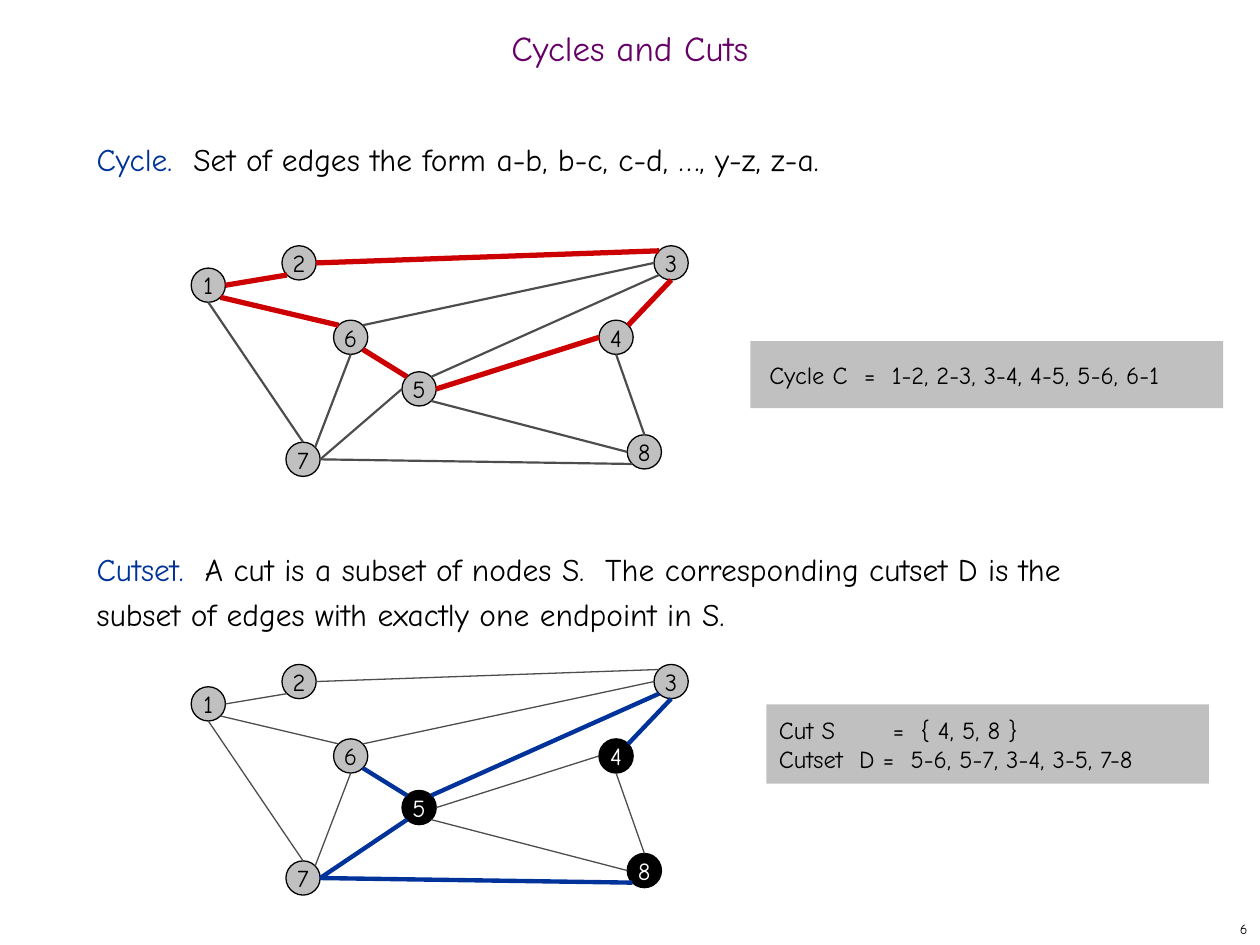
import math

import pptx
import pptx.dml.color
import pptx.enum.shapes
import pptx.enum.text
import pptx.util
from lxml import etree
from pptx.oxml.ns import qn

Cm, Pt = pptx.util.Cm, pptx.util.Pt
RGBColor = pptx.dml.color.RGBColor
ALIGN = pptx.enum.text.PP_ALIGN
ANCHOR = pptx.enum.text.MSO_ANCHOR
SHAPE = pptx.enum.shapes.MSO_SHAPE

FONT = "Comic Neue"
BLACK = RGBColor(0x00, 0x00, 0x00)
WHITE = RGBColor(0xFF, 0xFF, 0xFF)
PURPLE = RGBColor(0x66, 0x00, 0x66)
BLUE = RGBColor(0x00, 0x33, 0x99)
RED = RGBColor(0xCC, 0x00, 0x00)
SILVER = RGBColor(0xC0, 0xC0, 0xC0)
INK = RGBColor(0x01, 0x00, 0x00)
DARK_GRAY = RGBColor(0x4D, 0x4D, 0x4D)

DEFINITIONS = [  # top, term, meaning
    (2.54, "Cycle.  ", "Set of edges the form a-b, b-c, c-d, …, y-z, z-a."),
    (10.8, "Cutset.  ", "A cut is a subset of nodes S.  The corresponding cutset D is "
                        "the subset of edges with exactly one endpoint in S."),
]
EXAMPLES = [  # left, top, width, height, side margin, lines
    (15.13, 6.88, 9.53, 1.35, 0.38, ["Cycle C  =  1-2, 2-3, 3-4, 4-5, 5-6, 6-1"]),
    (15.45, 14.2, 8.92, 1.6, 0.25, ["Cut S\t=  { 4, 5, 8 }",
                                    "Cutset  D =  5-6, 5-7, 3-4, 3-5, 7-8"]),
]
EXAMPLE_TAB = 2.3

NODE_SIZE = 0.69
NODES = {  # centre of each node in the upper graph
    1: (4.2, 5.75), 2: (6.03, 5.3), 3: (13.53, 5.3), 4: (12.42, 6.8),
    5: (8.45, 7.84), 6: (7.07, 6.8), 7: (6.11, 9.26), 8: (12.99, 9.11),
}
EDGES = [  # node, side it leaves from, node, side it arrives at
    (1, "E", 2, "SW"), (1, "SE", 6, "NW"), (1, "S", 7, "N"), (6, "NE", 3, "W"),
    (4, "NE", 3, "S"), (6, "SE", 5, "NW"), (5, "SE", 8, "W"), (5, "E", 4, "W"),
    (4, "S", 8, "N"), (3, "SW", 5, "NE"), (6, "S", 7, "NE"), (2, "E", 3, "NW"),
    (7, "E", 8, "SW"),
]
GRAPHS = [
    dict(drop=0, edges=EDGES + [(7, "E", 5, "W")], dark_nodes=set(), width=1.25,
         marked={(1, 2), (2, 3), (3, 4), (4, 5), (5, 6), (1, 6)},
         marked_color=RED, marked_width=3),
    dict(drop=8.44, edges=EDGES + [(7, "E", 5, "SW")], dark_nodes={4, 5, 8}, width=0.75,
         marked={(5, 6), (5, 7), (3, 4), (3, 5), (7, 8)},
         marked_color=BLUE, marked_width=2.5),
]
SIDES = ["E", "SE", "S", "SW", "W", "NW", "N", "NE"]


def set_text(shape, lines, size, color, align=ALIGN.LEFT, anchor=ANCHOR.MIDDLE,
             margins=(0.25, 0.13), wrap=True):
    """Fill a shape with text; each line is a list of (words, colour or None)."""
    frame = shape.text_frame
    frame.word_wrap = wrap
    frame.vertical_anchor = anchor
    frame.margin_left = frame.margin_right = Cm(margins[0])
    frame.margin_top = frame.margin_bottom = Cm(margins[1])
    for index, spans in enumerate(lines):
        para = frame.add_paragraph() if index else frame.paragraphs[0]
        para.alignment = align
        para.font.name, para.font.size = FONT, Pt(size)
        para.font.color.rgb = color
        for words, span_color in spans:
            span = para.add_run()
            span.text = words
            if span_color is not None:
                span.font.color.rgb = span_color
    return frame.paragraphs


def add_box(page, left, top, width, height):
    return page.shapes.add_textbox(Cm(left), Cm(top), Cm(width), Cm(height))


def add_filled(page, kind, left, top, width, height, fill):
    shape = page.shapes.add_shape(kind, Cm(left), Cm(top), Cm(width), Cm(height))
    shape.shadow.inherit = False
    shape.fill.solid()
    shape.fill.fore_color.rgb = fill
    shape.line.fill.background()
    return shape


def add_tab_stop(para, position):
    tabs = etree.Element(qn("a:tabLst"))
    etree.SubElement(tabs, qn("a:tab"), pos=str(Cm(position)), algn="l")
    para._p.get_or_add_pPr().insert(0, tabs)


def rim_point(node, side, drop):
    """Point on the rim of a node, in the given compass direction."""
    x, y = NODES[node]
    angle = SIDES.index(side) * math.pi / 4
    radius = NODE_SIZE / 2
    return Cm(x + radius * math.cos(angle)), Cm(y + drop + radius * math.sin(angle))


def add_graph(page, graph):
    drop = graph["drop"]
    for node, (x, y) in NODES.items():
        dark = node in graph["dark_nodes"]
        circle = add_filled(page, SHAPE.OVAL, x - NODE_SIZE / 2, y + drop - NODE_SIZE / 2,
                            NODE_SIZE, NODE_SIZE, INK if dark else SILVER)
        circle.line.color.rgb = BLACK
        circle.line.width = Pt(0.75)
        set_text(circle, [[(str(node), None)]], 14, WHITE if dark else BLACK,
                 ALIGN.CENTER, wrap=False)
    for start, start_side, end, end_side in graph["edges"]:
        marked = tuple(sorted((start, end))) in graph["marked"]
        edge = page.shapes.add_connector(
            pptx.enum.shapes.MSO_CONNECTOR.STRAIGHT,
            *rim_point(start, start_side, drop), *rim_point(end, end_side, drop))
        edge.line.color.rgb = graph["marked_color"] if marked else DARK_GRAY
        edge.line.width = Pt(graph["marked_width"] if marked else graph["width"])
        etree.SubElement(edge._element.spPr, qn("a:effectLst"))


def main():
    deck = pptx.Presentation()
    deck.slide_width, deck.slide_height = Cm(25.4), Cm(19.05)
    page = deck.slides.add_slide(deck.slide_layouts[6])

    set_text(add_box(page, 20.12, 18.42, 5.28, 0.63), [[("6", None)]], 8, BLACK, ALIGN.RIGHT)
    title = set_text(add_box(page, 0, 0.43, 25.4, 1.27),
                     [[("Cycles and Cuts", None)]], 20, PURPLE, ALIGN.CENTER)
    title[0].line_spacing = 0.7

    for top, term, meaning in DEFINITIONS:
        definition = set_text(add_box(page, 1.7, top, 21.8, 2.1),
                              [[(term, BLUE), (meaning, None)]], 18, BLACK,
                              anchor=ANCHOR.TOP)
        definition[0].line_spacing = Pt(26)

    for left, top, width, height, margin, lines in EXAMPLES:
        panel = add_filled(page, SHAPE.RECTANGLE, left, top, width, height, SILVER)
        for para in set_text(panel, [[(line, None)] for line in lines], 14, BLACK,
                             margins=(margin, 0.2)):
            if "\t" in para.text:
                add_tab_stop(para, EXAMPLE_TAB)

    for graph in GRAPHS:
        add_graph(page, graph)
    deck.save("out.pptx")


if __name__ == "__main__":
    main()
